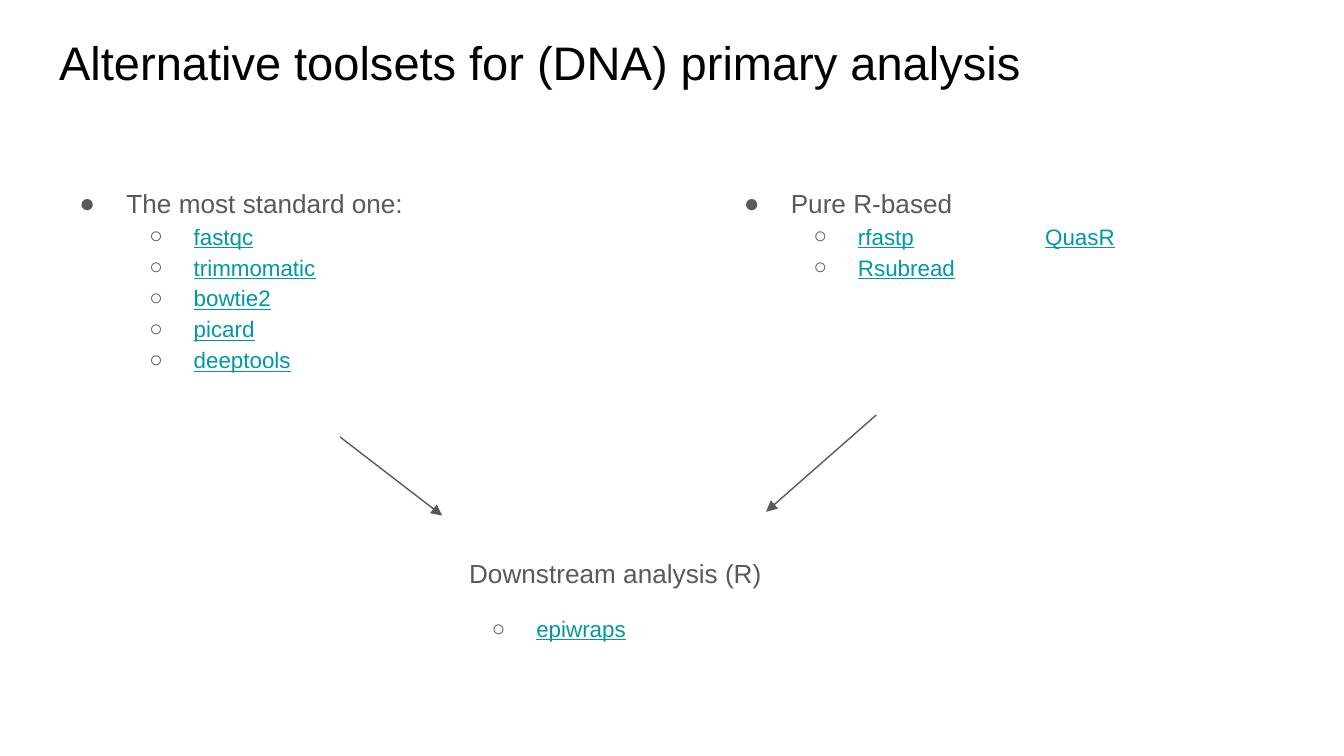
"""Builds a slide that leads two toolsets into one downstream analysis."""
from dataclasses import dataclass

from lxml import etree
from pptx import Presentation
from pptx.dml.color import RGBColor
from pptx.enum import shapes, text
from pptx.oxml import ns
from pptx.util import Inches, Pt

WIDE = 10
HIGH = WIDE * 9 / 16


@dataclass(frozen=True)
class Theme:
    """Holds the colours, font and type sizes."""
    ink: str = "000000"
    grey: str = "595959"
    teal: str = "0097A7"
    face: str = "Arial"
    title: float = 25.2
    head: float = 14
    item: float = 12
    line: float = 0.75
    gap: float = 66.9


THEME = Theme()


def spot(x, y):
    """Turns percentages of the slide's size into lengths."""
    return Inches(WIDE * x / 100), Inches(HIGH * y / 100)


def place(shape, x, y, w, h):
    """Moves a placeholder and clears its inherited frame settings."""
    shape.left, shape.top = spot(x, y)
    shape.width, shape.height = spot(w, h)
    frame = shape.text_frame
    frame.word_wrap = True
    frame.auto_size = text.MSO_AUTO_SIZE.NONE
    frame.vertical_anchor = text.MSO_ANCHOR.TOP
    frame.margin_left = frame.margin_right = Inches(0.1)
    frame.margin_top = frame.margin_bottom = Inches(0.1)
    return frame


def style(para, size, tint):
    """Sets the font of a whole paragraph."""
    font = para.font
    font.name, font.size, font.bold = THEME.face, Pt(size), False
    font.color.rgb = RGBColor.from_string(tint)


def add(node, tag, **attrs):
    """Appends a drawing element to a node."""
    return etree.SubElement(node, ns.qn(tag), attrs)


def bullet(para, sign, left, hang):
    """Sets the indent and bullet of a paragraph."""
    props = para._p.get_or_add_pPr()
    props.set("marL", str(Inches(left)))
    props.set("indent", str(Inches(-hang)))
    if sign:
        add(add(props, "a:buClr"), "a:srgbClr", val=THEME.grey)
        add(props, "a:buFont", typeface=THEME.face)
        add(props, "a:buChar", char=sign)
    else:
        add(props, "a:buNone")


def tools(para, names):
    """Writes underlined tool names with a wide gap between them."""
    for i, name in enumerate(names):
        if i:
            space = para.add_run()
            space.text = " "
            space.font._element.set("spc", str(round(THEME.gap * 100)))
        run = para.add_run()
        run.text = name
        run.font.underline = True


def listing(shape, box, head, rows, sign="●", hang=0.35, gap=0):
    """Fills a placeholder with a heading and its tools."""
    frame = place(shape, *box)
    para = frame.paragraphs[0]
    para.text = head
    para.line_spacing, para.space_before = 1.15, Pt(0)
    bullet(para, sign, 0.5, hang)
    style(para, THEME.head, THEME.grey)
    for names in rows:
        para = frame.add_paragraph()
        para.level = 1
        para.line_spacing, para.space_before = 1.15, Pt(gap)
        bullet(para, "○", 1, 0.33)
        tools(para, names)
        style(para, THEME.item, THEME.teal)


def arrow(slide, start, end):
    """Draws a thin arrow between two points."""
    link = slide.shapes.add_connector(
        shapes.MSO_CONNECTOR.STRAIGHT, *spot(*start), *spot(*end))
    link.line.color.rgb = RGBColor.from_string(THEME.grey)
    link.line.width = Pt(THEME.line)
    add(link.line._get_or_add_ln(), "a:tailEnd", type="triangle")
    add(link._element.spPr, "a:effectLst")


def main():
    """Builds and saves the slide."""
    deck = Presentation()
    deck.slide_width, deck.slide_height = spot(100, 100)
    slide = deck.slides.add_slide(deck.slide_layouts[4])
    title, left, right, down, spare = slide.placeholders
    spare._element.getparent().remove(spare._element)

    para = place(title, 3.4, 2.7, 93.2, 11.2).paragraphs[0]
    para.text = "Alternative toolsets for (DNA) primary analysis"
    para.alignment = text.PP_ALIGN.LEFT
    style(para, THEME.title, THEME.ink)

    listing(left, (3.41, 22.4, 43.7, 35.4), "The most standard one:",
            [["fastqc"], ["trimmomatic"], ["bowtie2"], ["picard"],
             ["deeptools"]])
    listing(right, (52.84, 22.4, 43.7, 30), "Pure R-based",
            [["rfastp", "QuasR"], ["Rsubread"]])
    listing(down, (28.9, 71.3, 36.1, 18.7), "Downstream analysis (R)",
            [["epiwraps"]], sign=None, hang=0, gap=12)

    arrow(slide, (25.3, 57.8), (32.9, 68.2))
    arrow(slide, (65.2, 54.9), (57, 67.7))
    deck.save("out.pptx")


if __name__ == "__main__":
    main()
